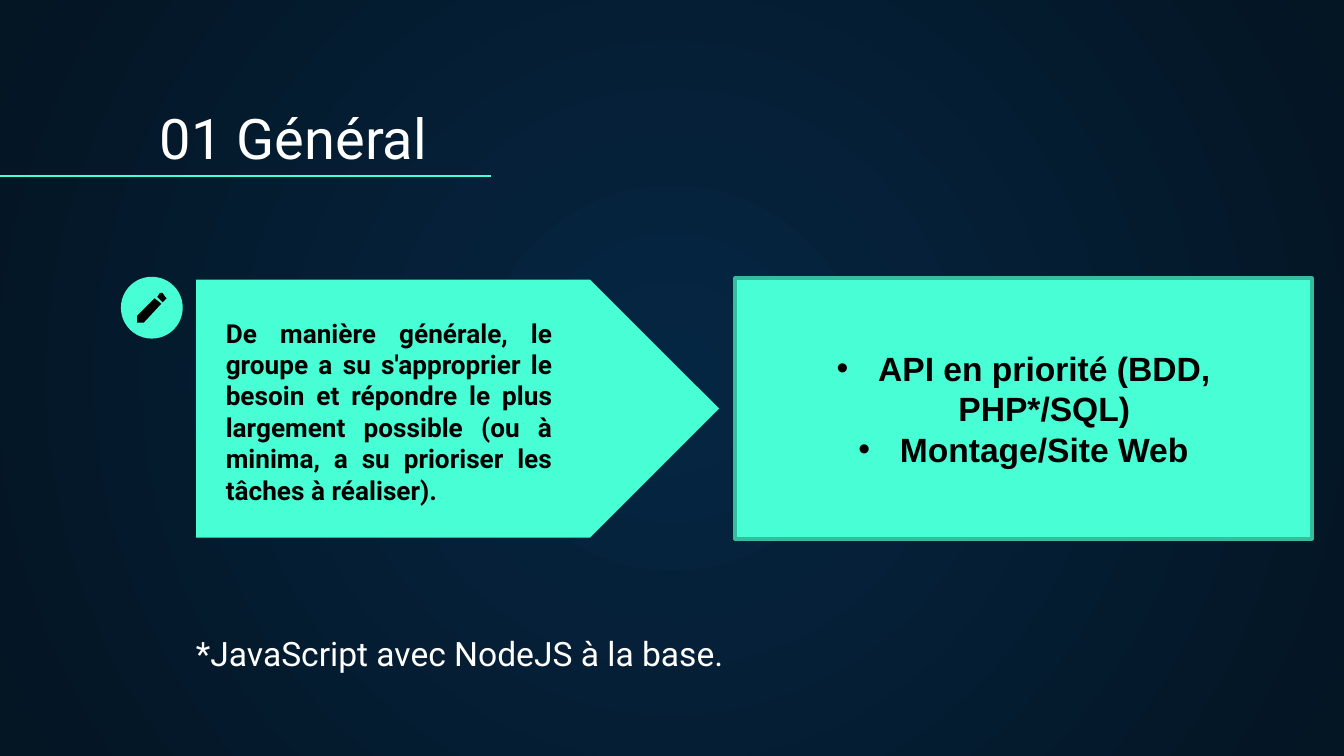
from lxml.etree import SubElement
from pptx import Presentation
from pptx.dml.color import RGBColor
from pptx.enum.shapes import MSO_CONNECTOR, MSO_SHAPE
from pptx.enum.text import MSO_ANCHOR, MSO_AUTO_SIZE, PP_ALIGN
from pptx.oxml.ns import qn
from pptx.util import Inches, Pt

MINT = RGBColor(0x48, 0xFF, 0xD5)
MINT_DARK = RGBColor(0x35, 0xBD, 0x9E)
NAVY = RGBColor(0x05, 0x26, 0x43)
NIGHT = RGBColor(0x04, 0x15, 0x23)
WHITE = RGBColor(0xFF, 0xFF, 0xFF)
BLACK = RGBColor(0x00, 0x00, 0x00)

# Pencil outline: tip and shaft, in hundredths of an inch
PENCIL = [
    [(120, 218), (119, 218), (117, 221), (121, 225),
     (123, 223), (124, 222), (123, 221), (121, 218)],
    [(115, 222), (102, 235), (102, 240), (107, 240), (120, 226)],
]


def box(left, top, width, height):
    return [Inches(v) for v in (left, top, width, height)]


def place(sp, area):
    sp.left, sp.top, sp.width, sp.height = box(*area)


def paint(sp, color, border=None):
    sp.shadow.inherit = False
    sp.fill.solid()
    sp.fill.fore_color.rgb = color
    if border is None:
        sp.line.fill.background()
    else:
        sp.line.color.rgb = border
        sp.line.width = Pt(2)


def add_block(s, kind, area, border=None):
    sp = s.shapes.add_shape(kind, *box(*area))
    paint(sp, MINT, border)
    return sp


def add_run(p, text, size, font, color, bold=False):
    r = p.add_run()
    r.text = text
    r.font.size, r.font.name, r.font.bold = Pt(size), font, bold
    r.font.color.rgb = color


def write(sp, text, size, color, bold=False, align=PP_ALIGN.LEFT):
    """Fill a bottom-anchored box with one unbulleted paragraph."""
    tf = sp.text_frame
    tf.word_wrap = True
    tf.auto_size = MSO_AUTO_SIZE.NONE
    tf.vertical_anchor = MSO_ANCHOR.BOTTOM
    tf.margin_left = tf.margin_right = Inches(0.1)
    tf.margin_top = tf.margin_bottom = Inches(0.1)
    p = tf.paragraphs[0]
    p.alignment = align
    p.space_before = Pt(0)
    pPr = p._p.get_or_add_pPr()
    pPr.set("marL", "0")
    pPr.set("indent", "0")
    SubElement(pPr, qn("a:buNone"))
    add_run(p, text, size, "Roboto", color, bold)


def write_bullets(sp, items):
    tf = sp.text_frame
    tf.word_wrap = True
    tf.vertical_anchor = MSO_ANCHOR.MIDDLE
    for i, item in enumerate(items):
        p = tf.paragraphs[0] if i == 0 else tf.add_paragraph()
        p.alignment = PP_ALIGN.CENTER
        pPr = p._p.get_or_add_pPr()
        pPr.set("marL", str(Inches(0.31)))
        pPr.set("indent", str(-Inches(0.31)))
        color = SubElement(pPr, qn("a:buClr"))
        SubElement(color, qn("a:srgbClr"), val=str(BLACK))
        SubElement(pPr, qn("a:buFont"), typeface="Arial")
        SubElement(pPr, qn("a:buChar"), char="•")
        add_run(p, item, 18, "Arial", BLACK, True)


def add_rule(s, y, length):
    line = s.shapes.add_connector(
        MSO_CONNECTOR.STRAIGHT, 0, Inches(y), Inches(length), Inches(y))
    line.line.color.rgb = MINT
    line.line.width = Pt(0.75)
    SubElement(line._element.spPr, qn("a:effectLst"))


def add_pencil(s):
    first, *others = PENCIL
    fb = s.shapes.build_freeform(*first[0], scale=Inches(0.01))
    fb.add_line_segments(first[1:], close=True)
    for contour in others:
        fb.move_to(*contour[0])
        fb.add_line_segments(contour[1:], close=True)
    paint(fb.convert_to_shape(), BLACK)


def set_background(s):
    fill = s.background.fill
    fill.gradient()
    for stop, color in zip(fill.gradient_stops, (NAVY, NIGHT)):
        stop.color.rgb = color
    # Radial gradient from the centre outwards
    grad = s._element.find(".//" + qn("a:gradFill"))
    grad.remove(grad.find(qn("a:lin")))
    radial = SubElement(grad, qn("a:path"), path="circle")
    SubElement(radial, qn("a:fillToRect"),
               {side: "50000" for side in "ltrb"})


def main():
    prs = Presentation()
    # 16:9 slide
    prs.slide_width, prs.slide_height = Inches(10), Inches(10 * 9 / 16)
    s = prs.slides.add_slide(prs.slide_layouts[1])
    set_background(s)
    title, body = s.placeholders

    # Title with its underline
    place(title, (1.09, 0.71, 2.54, 0.66))
    write(title, "01 Général", 30, WHITE)
    add_rule(s, 1.31, 3.65)

    # Arrow panel, placed behind its text
    arrow = add_block(s, MSO_SHAPE.PENTAGON, (1.46, 2.08, 3.89, 1.92))
    title._element.addprevious(arrow._element)
    place(body, (1.58, 2.14, 2.63, 1.72))
    write(body, "De manière générale, le groupe a su s'approprier le besoin "
          "et répondre le plus largement possible (ou à minima, a su "
          "prioriser les tâches à réaliser).",
          14, BLACK, True, PP_ALIGN.JUSTIFY)

    # Pencil badge
    add_block(s, MSO_SHAPE.OVAL, (0.9, 2.06, 0.46, 0.46))
    add_pencil(s)

    # Priorities panel
    panel = add_block(s, MSO_SHAPE.RECTANGLE, (5.47, 2.07, 4.29, 1.94),
                      MINT_DARK)
    write_bullets(panel, ["API en priorité (BDD, PHP*/SQL)",
                          "Montage/Site Web"])

    # Footnote
    note = s.shapes.add_textbox(*box(1.36, 4.45, 4.69, 0.66))
    write(note, "*JavaScript avec NodeJS à la base.", 18, WHITE)

    prs.save("out.pptx")


if __name__ == "__main__":
    main()
